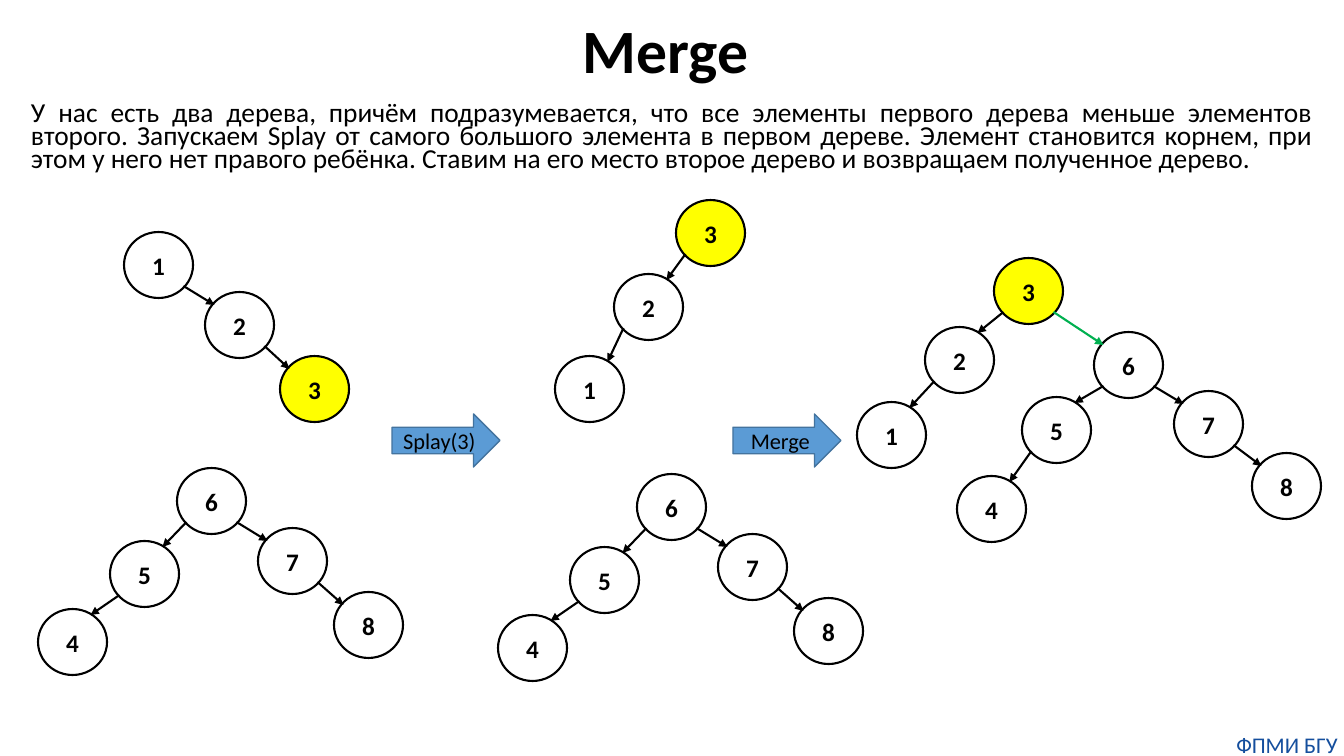
"""Build the slide that explains merging two splay trees."""
from lxml import etree
from pptx import Presentation
from pptx.dml.color import RGBColor
from pptx.enum.shapes import MSO_CONNECTOR as Connector, MSO_SHAPE as Shape
from pptx.enum.text import MSO_ANCHOR as Anchor, PP_ALIGN as Align
from pptx.oxml.ns import qn
from pptx.util import Pt

TITLE = "Merge"
BODY = (
    "У нас есть два дерева, причём подразумевается, что все элементы первого дерева "
    "меньше элементов второго. Запускаем Splay от самого большого элемента в первом "
    "дереве. Элемент становится корнем, при этом у него нет правого ребёнка. Ставим на "
    "его место второе дерево и возвращаем полученное дерево."
)
FOOTER = "ФПМИ БГУ"

SECOND_TREE = {6: (177, 468), 7: (258, 528), 8: (334, 592), 5: (110, 541), 4: (38, 609)}
SECOND_EDGES = [(6, 7), (7, 8), (6, 5), (5, 4)]
SECOND_SHIFT = (460, 6)
MERGED_TREE = {
    3: (994, 258), 2: (925, 327), 1: (857, 402), 6: (1094, 332),
    7: (1174, 391), 8: (1252, 453), 5: (1022, 397), 4: (957, 476),
}
NEW_EDGE = (3, 6)
FOREST = [
    ({1: (124, 232), 2: (205, 292), 3: (280, 356)}, [(1, 2), (2, 3)]),
    (SECOND_TREE, SECOND_EDGES),
    ({3: (676, 200), 2: (614, 274), 1: (555, 356)}, [(3, 2), (2, 1)]),
    ({key: (x + SECOND_SHIFT[0], y + SECOND_SHIFT[1])
      for key, (x, y) in SECOND_TREE.items()}, SECOND_EDGES),
    (MERGED_TREE, [(3, 2), (2, 1), *SECOND_EDGES, NEW_EDGE]),
]
STEPS = [("Splay(3)", 392), ("Merge", 733)]

PX = 914400 / 100.8
NODE_WIDTH, NODE_HEIGHT = 69, 66
STEP_TOP, STEP_WIDTH, STEP_HEIGHT = 414, 108, 53
START_OFFSET = (25, 21)
RIGHT_END_OFFSET = (25, 20)
LEFT_END_OFFSET = (18, 27)
SPLAYED_KEY = 3
BLACK, YELLOW, GREEN = "000000", "FFFF00", "00B050"
BLUE, DARK_BLUE, FOOTER_BLUE = "5B9BD5", "43739E", "144E9D"


def emu(*lengths):
    return [round(length * PX) for length in lengths]


def rgb(value):
    return RGBColor.from_string(value)


def write(shape, text, size, color=BLACK, bold=False, align=Align.CENTER,
          spacing=1.0, wrap=True, anchor=Anchor.MIDDLE, inset=0):
    frame = shape.text_frame
    margins = {f"margin_{side}": emu(inset)[0] for side in ("left", "right")}
    margins |= {f"margin_{side}": emu(inset / 2)[0] for side in ("top", "bottom")}
    for name, value in {"word_wrap": wrap, "vertical_anchor": anchor, **margins}.items():
        setattr(frame, name, value)
    paragraph = frame.paragraphs[0]
    paragraph.text = text
    paragraph.alignment = align
    paragraph.line_spacing = spacing
    font = paragraph.runs[0].font
    for name, value in {"name": "Calibri", "size": Pt(size), "bold": bold}.items():
        setattr(font, name, value)
    font.color.rgb = rgb(color)


def add_text(slide, box, text, size, **style):
    write(slide.shapes.add_textbox(*emu(*box)), text, size, **style)


def add_figure(slide, kind, box, fill, line, width):
    shape = slide.shapes.add_shape(kind, *emu(*box))
    shape.shadow.inherit = False
    if fill:
        shape.fill.solid()
        shape.fill.fore_color.rgb = rgb(fill)
    else:
        shape.fill.background()
    shape.line.color.rgb = rgb(line)
    shape.line.width = Pt(width)
    return shape


def add_edge(slide, parent, child, color):
    center_x, center_y = NODE_WIDTH / 2, NODE_HEIGHT / 2
    side = 1 if child[0] > parent[0] else -1
    end_x, end_y = RIGHT_END_OFFSET if side > 0 else LEFT_END_OFFSET
    start = (parent[0] + center_x + side * START_OFFSET[0],
             parent[1] + center_y + START_OFFSET[1])
    end = (child[0] + center_x - side * end_x, child[1] + center_y - end_y)
    connector = slide.shapes.add_connector(Connector.STRAIGHT, *emu(*start, *end))
    connector.line.color.rgb = rgb(color)
    connector.line.width = Pt(1.5)
    etree.SubElement(connector.line._get_or_add_ln(), qn("a:tailEnd"), type="triangle")
    etree.SubElement(connector._element.spPr, qn("a:effectLst"))


def add_tree(slide, nodes, edges):
    for key, (x, y) in nodes.items():
        fill = YELLOW if key == SPLAYED_KEY else None
        box = (x, y, NODE_WIDTH, NODE_HEIGHT)
        node = add_figure(slide, Shape.OVAL, box, fill, BLACK, 1.5)
        write(node, str(key), 18, bold=True)
    for edge in edges:
        parent, child = edge
        add_edge(slide, nodes[parent], nodes[child], GREEN if edge == NEW_EDGE else BLACK)


def main():
    presentation = Presentation()
    presentation.slide_width, presentation.slide_height = emu(1344, 756)
    slide = presentation.slides.add_slide(presentation.slide_layouts[6])
    add_text(slide, (1230, 731, 114, 27), FOOTER, 16, color=FOOTER_BLUE, anchor=Anchor.TOP)
    add_text(slide, (573, -8, 200, 123), TITLE, 44, bold=True, align=Align.LEFT,
             spacing=0.9, inset=10)
    add_text(slide, (21, 99, 1302, 104), BODY, 19.6, align=Align.JUSTIFY,
             spacing=0.7, anchor=Anchor.TOP, inset=10)
    for nodes, edges in FOREST:
        add_tree(slide, nodes, edges)
    for label, left in STEPS:
        box = (left, STEP_TOP, STEP_WIDTH, STEP_HEIGHT)
        arrow = add_figure(slide, Shape.RIGHT_ARROW, box, BLUE, DARK_BLUE, 1)
        write(arrow, label, 16, wrap=False)
    presentation.save("out.pptx")


if __name__ == "__main__":
    main()
